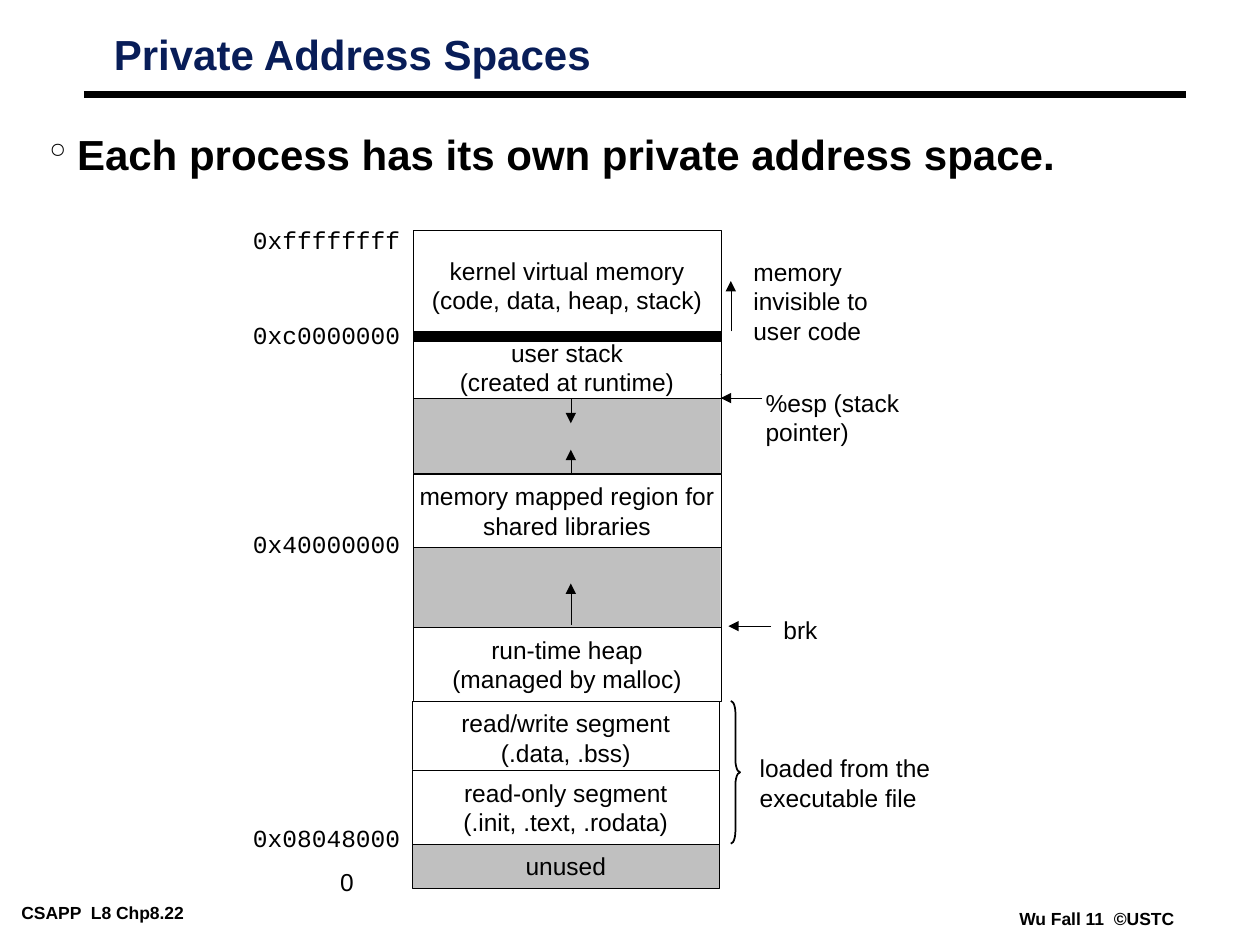
import pptx
import pptx.dml.color
import pptx.enum.shapes
import pptx.enum.text
import pptx.oxml
import pptx.oxml.ns
import pptx.util

Pt = pptx.util.Pt
SHAPE = pptx.enum.shapes.MSO_SHAPE
STRAIGHT = pptx.enum.shapes.MSO_CONNECTOR.STRAIGHT
ANCHOR = pptx.enum.text.MSO_ANCHOR
ALIGN = pptx.enum.text.PP_ALIGN
FIT = pptx.enum.text.MSO_AUTO_SIZE

COLORS = {"ink": "000000", "title": "081D58", "used": "FFFFFF", "free": "C0C0C0"}
NARROW = (5.04, 2.16)
WIDE = (7.2, 3.6)
COL_X, LOW_X, COL_W = 236.2, 235.5, 175.7
ARROW_X = 326.2

REGIONS = [
    (COL_X, 131.8, 62.6, "used", ["kernel virtual memory", "(code, data, heap, stack)"]),
    (COL_X, 270.7, 42.2, "used", ["memory mapped region for", "shared libraries"]),
    (COL_X, 312.7, 45.6, "free", []),
    (COL_X, 358.4, 42.2, "used", ["run-time heap", "(managed by malloc)"]),
    (COL_X, 213.8, 56.9, "free", []),
    (COL_X, 192.2, 35.4, "used", ["user stack", "(created at runtime)"]),
    (LOW_X, 482.4, 25, "free", ["unused"]),
    (LOW_X, 400.5, 42.2, "used", ["read/write segment", "(.data, .bss)"]),
    (LOW_X, 440, 42.4, "used", ["read-only segment", "(.init, .text, .rodata)"]),
]
ADDRESSES = [
    (125.3, "0xffffffff"),
    (179.3, "0xc0000000"),
    (298.8, "0x40000000"),
    (466.6, "0x08048000"),
]
NOTES = [
    (187.2, 491.8, 22.3, 24.5, ["0"]),
    (430.4, 218.2, 141.8, 24.5, ["%esp (stack pointer)"]),
    (423.4, 143.3, 79.9, 57.6, ["memory", "invisible to", "user code"]),
    (440.6, 347.8, 33.8, 24.5, ["brk"]),
    (427, 427, 115.9, 41, ["loaded from the", "executable file"]),
]
ARROWS = [
    (ARROW_X, 357.1, ARROW_X, 333.4),
    (ARROW_X, 271.4, ARROW_X, 257),
    (ARROW_X, 227.5, ARROW_X, 241.9),
    (435.6, 227.5, 411.9, 227.5),
    (417.6, 189.4, 417.6, 160.6),
    (440.6, 357.8, 416.2, 357.8),
]


def rgb(name):
    return pptx.dml.color.RGBColor.from_string(COLORS[name])


def set_all(obj, values):
    for name, value in values.items():
        setattr(obj, name, value)


def add_xml(parent, tag, **attrs):
    el = pptx.oxml.parse_xml(f"<a:{tag} {pptx.oxml.ns.nsdecls('a')}/>")
    for name, value in attrs.items():
        el.set(name, value)
    parent.append(el)
    return el


def write(sp, lines, margins=WIDE, frame=None, para=None, font=None, color="ink"):
    tf = sp.text_frame
    x, y = margins
    set_all(tf, {"margin_left": Pt(x), "margin_right": Pt(x), "margin_top": Pt(y),
                 "margin_bottom": Pt(y), "word_wrap": False, **(frame or {})})
    for i, line in enumerate(lines):
        p = tf.add_paragraph() if i else tf.paragraphs[0]
        set_all(p, para or {})
        r = p.add_run()
        r.text = line
        set_all(r.font, {"name": "Arial", "size": Pt(14), **(font or {})})
        r.font.color.rgb = rgb(color)


def add_label(s, x, y, w, h, lines, **style):
    sp = s.shapes.add_textbox(Pt(x), Pt(y), Pt(w), Pt(h))
    write(sp, lines, **{"frame": {"auto_size": FIT.SHAPE_TO_FIT_TEXT}, **style})
    return sp


def add_region(s, x, y, h, fill, lines):
    sp = s.shapes.add_shape(SHAPE.RECTANGLE, Pt(x), Pt(y), Pt(COL_W), Pt(h))
    sp.shadow.inherit = False
    sp.fill.solid()
    sp.fill.fore_color.rgb = rgb(fill)
    sp.line.color.rgb = rgb("ink")
    sp.line.width = Pt(0.25)
    if lines:
        write(sp, lines, frame={"vertical_anchor": ANCHOR.MIDDLE},
              para={"alignment": ALIGN.CENTER})


def add_line(s, x1, y1, x2, y2, width, arrow=False):
    sp = s.shapes.add_connector(STRAIGHT, Pt(x1), Pt(y1), Pt(x2), Pt(y2))
    sp.line.color.rgb = rgb("ink")
    sp.line.width = Pt(width)
    if arrow:
        add_xml(sp.line._get_or_add_ln(), "tailEnd", type="triangle")
    add_xml(sp._element.spPr, "effectLst")


def add_brace(s, x, y, w, h):
    sp = s.shapes.add_shape(SHAPE.RIGHT_BRACE, Pt(x), Pt(y), Pt(w), Pt(h))
    sp.shadow.inherit = False
    sp.fill.background()
    sp.line.color.rgb = rgb("ink")
    sp.line.width = Pt(1)
    sp.adjustments[0] = 1.35


def add_bullet_text(s, x, y, w, h, text):
    sp = add_label(s, x, y, w, h, [], margins=NARROW, frame={"word_wrap": True})
    p = sp.text_frame.paragraphs[0]
    pPr = p._p.get_or_add_pPr()
    set_all(p, {"line_spacing": 0.75})
    pPr.set("marL", str(Pt(16)))
    pPr.set("indent", str(Pt(-16)))
    add_xml(add_xml(pPr, "buClr"), "srgbClr", val=COLORS["ink"])
    add_xml(pPr, "buChar", char="°")
    write(sp, [text], margins=NARROW, frame={"word_wrap": True},
          font={"size": Pt(24), "bold": True})


def main():
    prs = pptx.Presentation()
    set_all(prs, {"slide_width": Pt(720), "slide_height": Pt(540)})
    s = prs.slides.add_slide(prs.slide_layouts[6])

    footer = {"margins": NARROW, "font": {"size": Pt(10), "bold": True}}
    add_label(s, 7.2, 513.4, 140.4, 15.8, ["CSAPP  L8 Chp8.22"], **footer)
    add_label(s, 577.4, 516.5, 99.4, 15.8, ["Wu Fall 11  ©USTC"], **footer)
    add_line(s, 48, 54, 678, 54, 4.5)
    add_label(s, 60, 18, 504.7, 45.4, ["Private Address Spaces"], margins=NARROW,
              frame={"word_wrap": True}, para={"line_spacing": 0.87},
              font={"size": Pt(24), "bold": True}, color="title")
    add_bullet_text(s, 23, 78, 654.5, 74.9,
                    "Each process has its own private address space.")

    for region in REGIONS:
        add_region(s, *region)
    for y, address in ADDRESSES:
        add_label(s, 137.5, y, 98.6, 24.5, [address], font={"name": "Courier New"})
    for note in NOTES:
        add_label(s, *note)
    for arrow in ARROWS:
        add_line(s, *arrow, 0.25, arrow=True)
    add_brace(s, 417.6, 400.5, 5.3, 81.6)
    add_line(s, COL_X, 192.2, COL_X + COL_W, 192.2, 6)

    prs.save("out.pptx")


if __name__ == "__main__":
    main()
